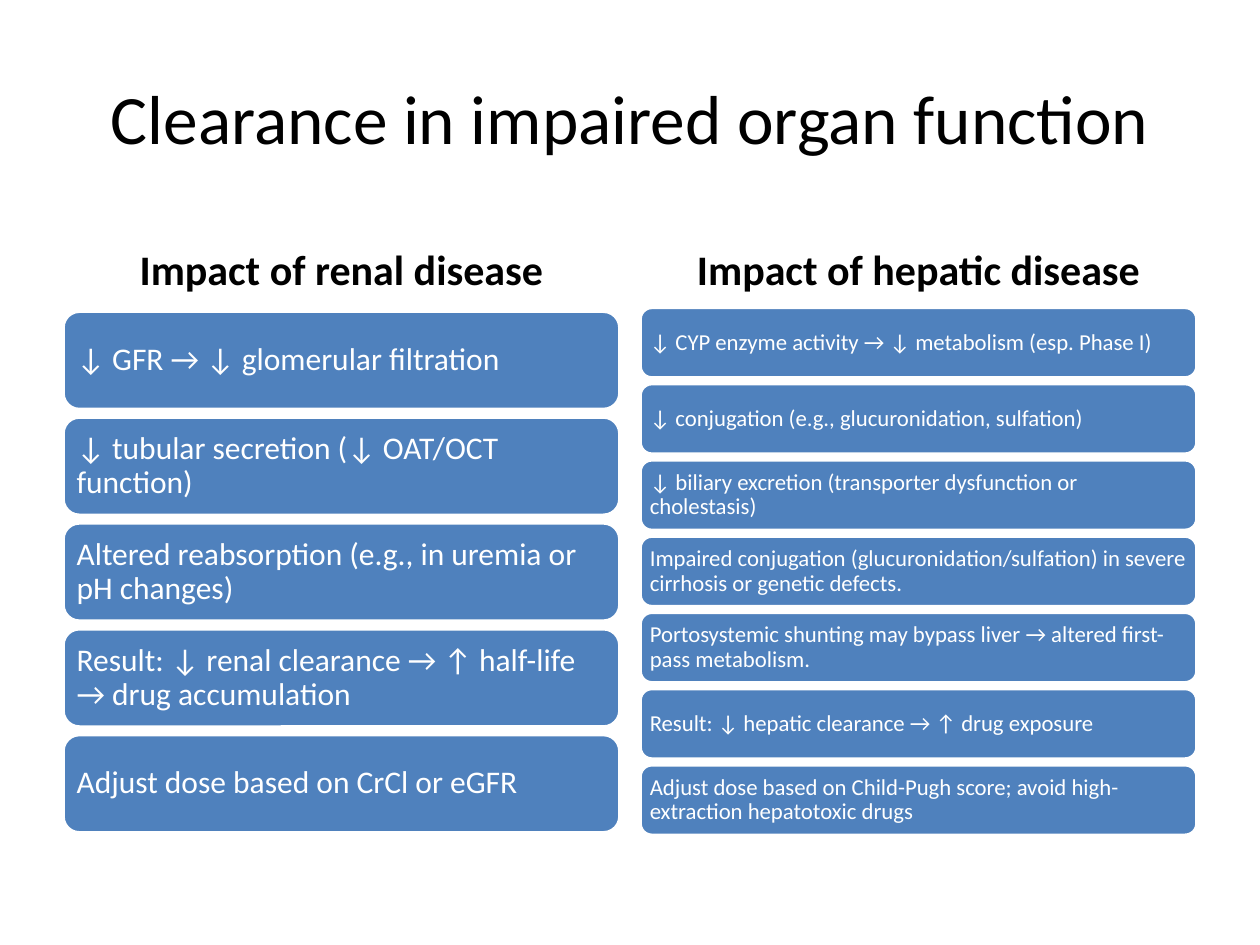
from dataclasses import dataclass

from pptx import Presentation
from pptx import util as u
from pptx.dml.color import RGBColor
from pptx.enum import shapes, text


@dataclass(frozen=True)
class Theme:
    font: str = "Calibri"
    ink: str = "000000"
    card: str = "4F81BD"
    paper: str = "FFFFFF"
    title_size: float = 39.6
    heading_size: float = 24
    renal_size: float = 18
    hepatic_size: float = 13


class SlideBuilder:
    def __init__(self, slide, theme):
        self.slide = slide
        self.theme = theme

    def set_wording(self, shape, wording, size, color, align, anchor, bold=False):
        frame = shape.text_frame
        frame.text = wording
        frame.word_wrap = True
        frame.auto_size = text.MSO_AUTO_SIZE.NONE
        frame.vertical_anchor = anchor
        paragraph = frame.paragraphs[0]
        paragraph.alignment = align
        for run in paragraph.runs:
            run.font.name = self.theme.font
            run.font.size = u.Pt(size)
            run.font.bold = bold
            run.font.color.rgb = RGBColor.from_string(color)
        return paragraph

    def placeholder(self, index, wording, box, size, anchor, bold=False):
        shape = self.slide.placeholders[index]
        shape.left, shape.top, shape.width, shape.height = map(u.Inches, box)
        self.set_wording(shape, wording, size, self.theme.ink,
                         text.PP_ALIGN.CENTER, anchor, bold)

    def card(self, group, wording, box, size, inset):
        shape = group.shapes.add_shape(
            shapes.MSO_SHAPE.ROUNDED_RECTANGLE, *map(u.Inches, box))
        shape.shadow.inherit = False
        shape.fill.solid()
        shape.fill.fore_color.rgb = RGBColor.from_string(self.theme.card)
        shape.line.color.rgb = RGBColor.from_string(self.theme.paper)
        shape.line.width = u.Pt(2)
        paragraph = self.set_wording(shape, wording, size, self.theme.paper,
                                     text.PP_ALIGN.LEFT, text.MSO_ANCHOR.MIDDLE)
        paragraph.line_spacing = 0.9
        frame = shape.text_frame
        frame.margin_left = frame.margin_right = u.Inches(inset)
        frame.margin_top = frame.margin_bottom = u.Inches(inset)

    def card_stack(self, wordings, left, top, width, height, pitch, size, inset):
        group = self.slide.shapes.add_group_shape()
        for row, wording in enumerate(wordings):
            box = (left, top + row * pitch, width, height)
            self.card(group, wording, box, size, inset)

    def remove_empty_placeholders(self):
        for shape in list(self.slide.placeholders):
            if not shape.text_frame.text:
                shape.element.getparent().remove(shape.element)


RENAL_EFFECTS = [
    "↓ GFR → ↓ glomerular filtration",
    "↓ tubular secretion (↓ OAT/OCT function)",
    "Altered reabsorption (e.g., in uremia or pH changes)",
    "Result: ↓ renal clearance → ↑ half-life → drug accumulation",
    "Adjust dose based on CrCl or eGFR",
]
HEPATIC_EFFECTS = [
    "↓ CYP enzyme activity → ↓ metabolism (esp. Phase I)",
    "↓ conjugation (e.g., glucuronidation, sulfation)",
    "↓ biliary excretion (transporter dysfunction or cholestasis)",
    "Impaired conjugation (glucuronidation/sulfation) in severe cirrhosis or genetic defects.",
    "Portosystemic shunting may bypass liver → altered first-pass metabolism.",
    "Result: ↓ hepatic clearance → ↑ drug exposure",
    "Adjust dose based on Child-Pugh score; avoid high-extraction hepatotoxic drugs",
]
COLUMN_WIDTH = 4.42
RENAL_LEFT, HEPATIC_LEFT = 0.5, 5.08


def main():
    presentation = Presentation()
    presentation.slide_width = u.Inches(10)
    presentation.slide_height = u.Inches(7.5)
    comparison_layout = presentation.slide_layouts[4]
    theme = Theme()
    builder = SlideBuilder(presentation.slides.add_slide(comparison_layout), theme)

    builder.placeholder(0, "Clearance in impaired organ function",
                        (0.5, 0.3, 9, 1.25), theme.title_size,
                        text.MSO_ANCHOR.MIDDLE)
    headings = [(1, "Impact of renal disease", RENAL_LEFT),
                (3, "Impact of hepatic disease", HEPATIC_LEFT)]
    for index, wording, left in headings:
        builder.placeholder(index, wording, (left, 1.68, COLUMN_WIDTH, 0.7),
                            theme.heading_size, text.MSO_ANCHOR.BOTTOM, bold=True)
    builder.remove_empty_placeholders()

    builder.card_stack(RENAL_EFFECTS, RENAL_LEFT, 2.47, COLUMN_WIDTH,
                       height=0.78, pitch=0.84, size=theme.renal_size, inset=0.07)
    hepatic_pitch = (6.07 - 2.44) / (len(HEPATIC_EFFECTS) - 1)
    builder.card_stack(HEPATIC_EFFECTS, HEPATIC_LEFT, 2.44, COLUMN_WIDTH,
                       height=0.56, pitch=hepatic_pitch,
                       size=theme.hepatic_size, inset=0.05)
    presentation.save("out.pptx")


if __name__ == "__main__":
    main()
